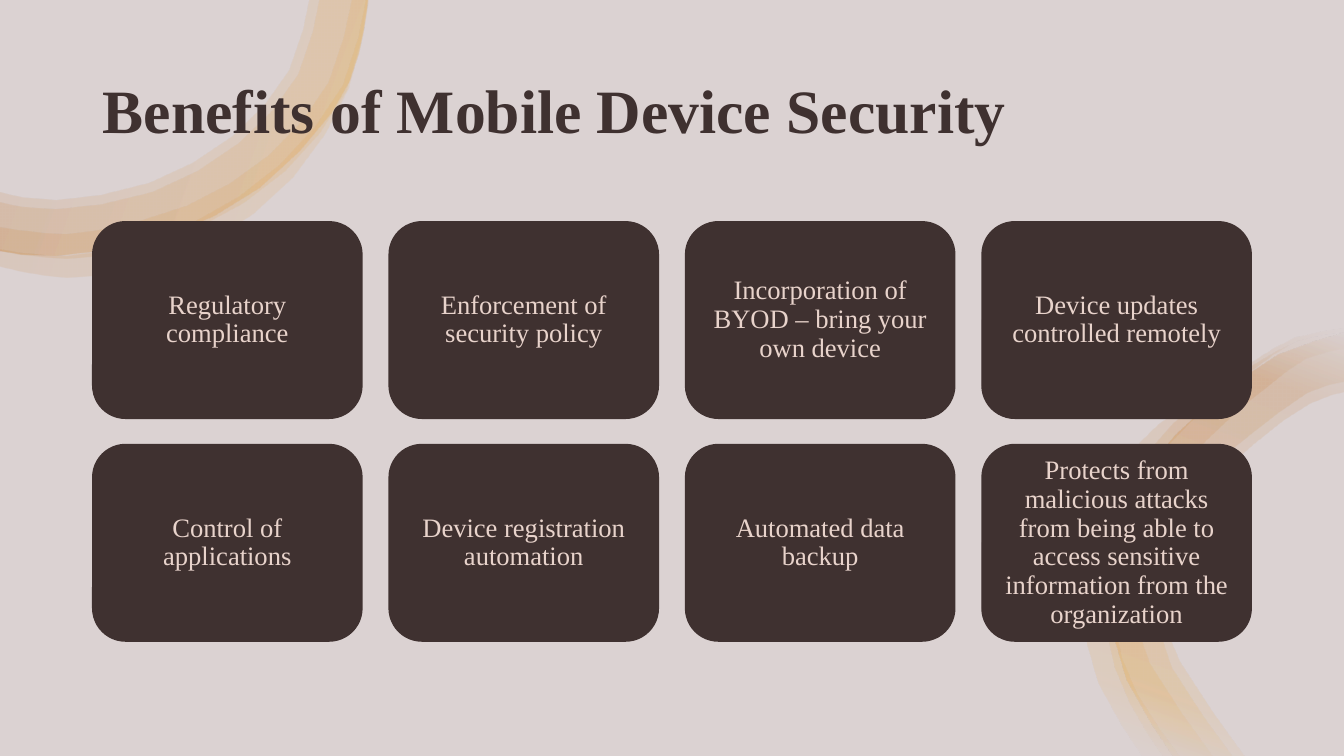
from dataclasses import dataclass
from itertools import product

from lxml.etree import SubElement
from pptx import Presentation
from pptx.dml.color import RGBColor
from pptx.enum.shapes import MSO_SHAPE
from pptx.enum.text import MSO_ANCHOR, PP_ALIGN
from pptx.oxml.ns import qn
from pptx.shapes.autoshape import Shape
from pptx.slide import Slide
from pptx.util import Inches, Pt

Points = list[tuple[float, float]]

PALE = RGBColor(0xDB, 0xD2, 0xD2)
DARK = RGBColor(0x3F, 0x31, 0x30)
CREAM = RGBColor(0xE8, 0xD3, 0xCB)
AMBER = RGBColor(0xF1, 0x9D, 0x19)
RUST = RGBColor(0xC0, 0x62, 0x00)
FONT = "Times New Roman"
STOPS = [(2, PALE), (16, AMBER), (85, RUST), (100, PALE)]
ALPHA = 10
STEPS = 2


@dataclass
class Band:
    outer: Points
    inner: Points
    angle: int


@dataclass
class Card:
    text: str
    left: float
    top: float


LEFT = 160
RIGHT = 70
ARC = [(3.64, 0), (3.55, 0.54), (3.28, 1.12), (2.57, 1.86), (1.62, 2.35),
       (0.56, 2.53), (0, 2.48)]
BEND = [(11.63, 7.5), (11.17, 6.74), (11.01, 5.98), (11.09, 5.33),
        (11.31, 4.78), (11.66, 4.31), (12.13, 3.91), (12.67, 3.52),
        (13.33, 3.3)]
BANDS = [
    Band(ARC, [(0, 1.9), (0.56, 1.98), (1.48, 1.81), (2.3, 1.35),
               (2.86, 0.7), (3.06, 0)], LEFT),
    Band(ARC, [(0, 2), (0.56, 2.07), (1.51, 1.9), (2.36, 1.42),
               (2.95, 0.74), (3.16, 0)], LEFT),
    Band([(3.64, 0), (3.43, 0.9), (2.82, 1.7), (1.96, 2.26), (0.96, 2.54),
          (0.44, 2.55), (0, 2.49)],
         [(0, 2.25), (0.45, 2.31), (0.93, 2.29), (1.85, 2.04), (2.66, 1.54),
          (3.25, 0.82), (3.48, 0)], LEFT),
    Band([(3.66, 0), (3.46, 0.88), (2.91, 1.76), (2.05, 2.42), (0.99, 2.73),
          (0.43, 2.73), (0, 2.64)],
         [(0, 2.47), (0.45, 2.53), (0.96, 2.5), (1.93, 2.2), (2.77, 1.64),
          (3.4, 0.85), (3.63, 0)], LEFT),
    Band([(13.33, 3.29), (12.85, 3.39), (12.43, 3.67), (11.92, 4.08),
          (11.34, 4.74), (11.08, 5.43), (11.05, 6.18), (11.28, 6.88),
          (11.7, 7.5)],
         [(11.33, 7.5), (10.9, 6.78), (10.75, 6), (10.89, 5.1),
          (11.26, 4.44), (11.74, 4.03), (12.39, 3.61), (12.84, 3.35),
          (13.33, 3.26)], RIGHT),
    Band([(13.33, 3.46), (12.95, 3.56), (12.58, 3.83), (12.2, 4.15),
          (11.72, 4.64), (11.36, 5.22), (11.26, 5.92), (11.41, 6.58),
          (12.03, 7.5)],
         [(11.54, 7.5), (11.21, 6.97), (10.97, 6.19), (11.1, 5.13),
          (11.31, 4.63), (11.63, 4.21), (12.03, 3.89), (12.43, 3.62),
          (12.88, 3.38), (13.33, 3.3)], RIGHT),
    Band([(13.33, 3.79), (12.96, 3.9), (12.39, 4.32), (11.97, 4.68),
          (11.69, 5.06), (11.52, 5.49), (11.47, 5.98), (11.62, 6.62),
          (12.22, 7.5)], BEND, RIGHT),
    Band([(13.33, 3.89), (12.98, 4.01), (12.44, 4.4), (11.78, 5.08),
          (11.56, 5.98), (11.7, 6.56), (12.34, 7.5)], BEND, RIGHT),
]

TEXTS = [
    "Regulatory compliance",
    "Enforcement of security policy",
    "Incorporation of BYOD – bring your own device",
    "Device updates controlled remotely",
    "Control of applications",
    "Device registration automation",
    "Automated data backup",
    "Protects from malicious attacks from being able to access sensitive "
    "information from the organization",
]
CARDS = [Card(text, 0.92 + 2.94 * col, 2.2 + 2.21 * row)
         for text, (row, col) in zip(TEXTS, product(range(2), range(4)))]


def blend(a: float, b: float, c: float, d: float, t: float) -> float:
    return (2 * b + (c - a) * t + (2 * a - 5 * b + 4 * c - d) * t ** 2
            + (3 * b - a - 3 * c + d) * t ** 3) / 2


def smooth(knots: Points) -> Points:
    ends = [knots[0], *knots, knots[-1]]
    curve = [tuple(blend(*axis, step / STEPS) for axis in zip(*ends[i:i + 4]))
             for i in range(len(knots) - 1) for step in range(STEPS)]
    return curve + [knots[-1]]


def tint(shape: Shape, angle: int) -> None:
    shape.fill.gradient()
    shape.fill.gradient_angle = angle
    stops = shape.element.spPr.find(qn("a:gradFill")).find(qn("a:gsLst"))
    for old in list(stops):
        stops.remove(old)
    for place, color in STOPS:
        stop = SubElement(stops, qn("a:gs"), pos=str(place * 1000))
        paint = SubElement(stop, qn("a:srgbClr"), val=str(color))
        SubElement(paint, qn("a:alpha"), val=str(ALPHA * 1000))


def draw_band(slide: Slide, band: Band) -> None:
    edge = [(Inches(x), Inches(y))
            for x, y in smooth(band.outer) + smooth(band.inner)]
    pen = slide.shapes.build_freeform(*edge[0])
    pen.add_line_segments(edge[1:], close=True)
    shape = pen.convert_to_shape()
    shape.shadow.inherit = False
    shape.line.fill.background()
    tint(shape, band.angle)


def write(shape: Shape, text: str, *, size: int, color: RGBColor,
          bold: bool = False, align: PP_ALIGN = PP_ALIGN.LEFT,
          inset: float = 0.1) -> None:
    frame = shape.text_frame
    frame.word_wrap = True
    frame.vertical_anchor = MSO_ANCHOR.MIDDLE
    frame.margin_left = frame.margin_right = Inches(inset)
    frame.text = text
    para = frame.paragraphs[0]
    para.alignment = align
    para.line_spacing = 0.9
    font = para.runs[0].font
    font.name = FONT
    font.size = Pt(size)
    font.bold = bold
    font.color.rgb = color


def draw_card(slide: Slide, card: Card) -> None:
    box = slide.shapes.add_shape(
        MSO_SHAPE.ROUNDED_RECTANGLE, Inches(card.left), Inches(card.top),
        Inches(2.67), Inches(1.95))
    box.shadow.inherit = False
    box.fill.solid()
    box.fill.fore_color.rgb = DARK
    box.line.color.rgb = DARK
    box.line.width = Pt(1)
    write(box, card.text, size=19, color=CREAM, align=PP_ALIGN.CENTER,
          inset=0.08)


def main() -> None:
    deck = Presentation()
    deck.slide_width, deck.slide_height = Inches(13.33), Inches(7.5)
    slide = deck.slides.add_slide(deck.slide_layouts[5])
    slide.background.fill.solid()
    slide.background.fill.fore_color.rgb = PALE
    for band in BANDS:
        draw_band(slide, band)
    title = slide.shapes.title
    title.left, title.top = Inches(0.92), Inches(0.4)
    title.width, title.height = Inches(11.5), Inches(1.45)
    write(title, "Benefits of Mobile Device Security", size=44, color=DARK,
          bold=True)
    title.element.getparent().append(title.element)
    for card in CARDS:
        draw_card(slide, card)
    deck.save("out.pptx")


if __name__ == "__main__":
    main()
